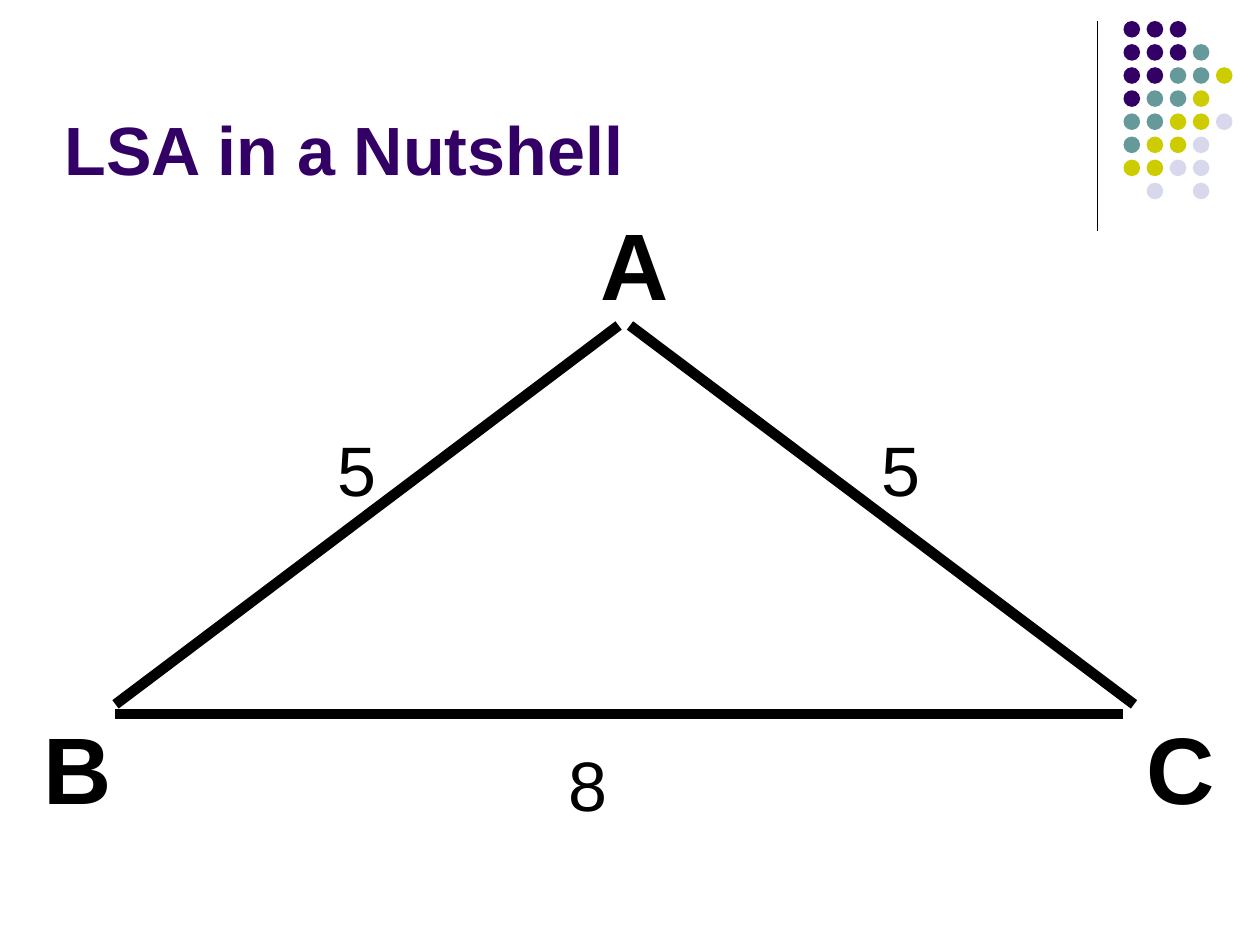
from lxml import etree
from pptx import Presentation
from pptx.dml.color import RGBColor
from pptx.enum.shapes import MSO_CONNECTOR, MSO_SHAPE
from pptx.enum.text import MSO_ANCHOR, MSO_AUTO_SIZE
from pptx.oxml.ns import qn
from pptx.util import Pt

STRAIGHT = MSO_CONNECTOR.STRAIGHT
OVAL = MSO_SHAPE.OVAL
TOP, BOTTOM = MSO_ANCHOR.TOP, MSO_ANCHOR.BOTTOM
FIT, FIXED = MSO_AUTO_SIZE.SHAPE_TO_FIT_TEXT, MSO_AUTO_SIZE.NONE

COLORS = {"ink": "000000", "P": "330066", "T": "669999",
          "Y": "CCCC00", "L": "D8D8EC"}
DOTS = ["PPP", "PPPT", "PPTTY", "PTTY", "TTYYL", "TYYL", "YYLL", " L L"]
STEP, DOT = 13.2, 9.5

TITLE = {"size": Pt(39), "bold": True}
CORNER = {"size": Pt(54), "bold": True}
LENGTH = {"size": Pt(40), "bold": False}

EDGES = [(360, 186, 648, 402.5), (66, 402.5, 353.5, 186),
         (66, 408, 641.5, 408)]
LABELS = [
    ("B", (18, 402, 66, 72), CORNER),
    ("C", (648, 402, 60, 72), CORNER),
    ("A", (336, 114, 48, 72), CORNER),
    ("5", (186, 240, 60, 55.4), LENGTH),
    ("5", (496.5, 240, 60, 55.4), LENGTH),
    ("8", (318, 420, 90, 55.4), LENGTH),
]


def color(key):
    """Return the palette colour with this key."""
    return RGBColor.from_string(COLORS[key])


def add_line(slide, ends, width):
    """Draw a straight black line between two points."""
    line = slide.shapes.add_connector(STRAIGHT, *map(Pt, ends))
    line.line.width = Pt(width)
    line.line.color.rgb = color("ink")
    etree.SubElement(line._element.spPr, qn("a:effectLst"))


def add_dots(slide, left, top):
    """Draw the grouped dot grid from its rows of colour keys."""
    group = slide.shapes.add_group_shape()
    for row, keys in enumerate(DOTS):
        for col, key in enumerate(keys):
            if key == " ":
                continue
            dot = group.shapes.add_shape(
                OVAL, Pt(left + col * STEP), Pt(top + row * STEP),
                Pt(DOT), Pt(DOT))
            dot.shadow.inherit = False
            dot.fill.solid()
            dot.fill.fore_color.rgb = color(key)
            dot.line.fill.background()


def add_text(slide, text, box, style, key="ink", anchor=TOP, fit=FIT):
    """Add a one-line text box and return its paragraph."""
    frame = slide.shapes.add_textbox(*map(Pt, box)).text_frame
    frame.word_wrap = True
    frame.auto_size = fit
    frame.vertical_anchor = anchor
    para = frame.paragraphs[0]
    run = para.add_run()
    run.text = text
    run.font.name = "Arial"
    run.font.color.rgb = color(key)
    for name, value in style.items():
        setattr(run.font, name, value)
    return para


def add_label(slide, text, box, style):
    """Add a triangle label with half a line of space before it."""
    para = add_text(slide, text, box, style)
    space = etree.SubElement(para._p.get_or_add_pPr(), qn("a:spcBef"))
    etree.SubElement(space, qn("a:spcPct"), val="50000")


def main():
    """Build the slide and save it."""
    deck = Presentation()
    deck.slide_width, deck.slide_height = Pt(720), Pt(540)
    slide = deck.slides.add_slide(deck.slide_layouts[6])
    add_line(slide, (627, 12, 627, 132), 0.75)
    add_dots(slide, 642, 12)
    add_text(slide, "LSA in a Nutshell", (30, 9.5, 564, 102), TITLE,
             "P", BOTTOM, FIXED)
    for ends in EDGES:
        add_line(slide, ends, 6)
    for text, box, style in LABELS:
        add_label(slide, text, box, style)
    deck.save("out.pptx")


if __name__ == "__main__":
    main()
